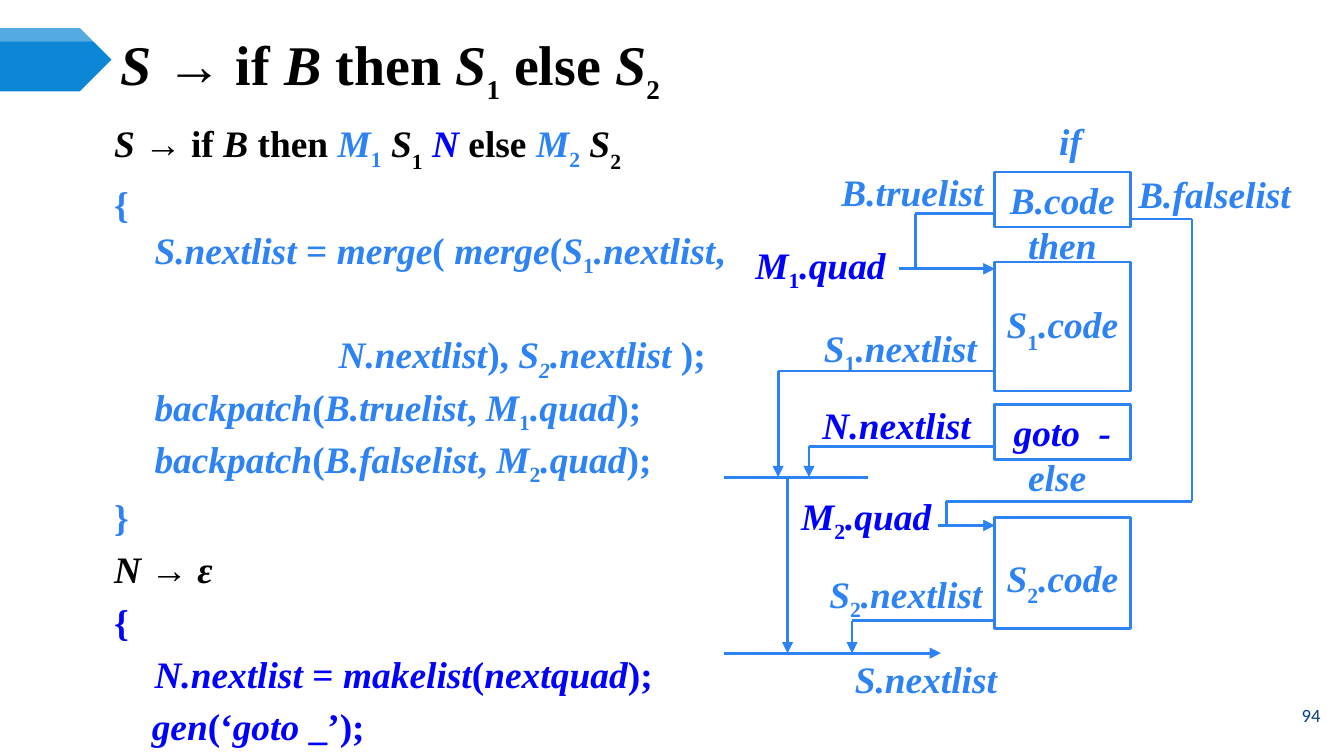
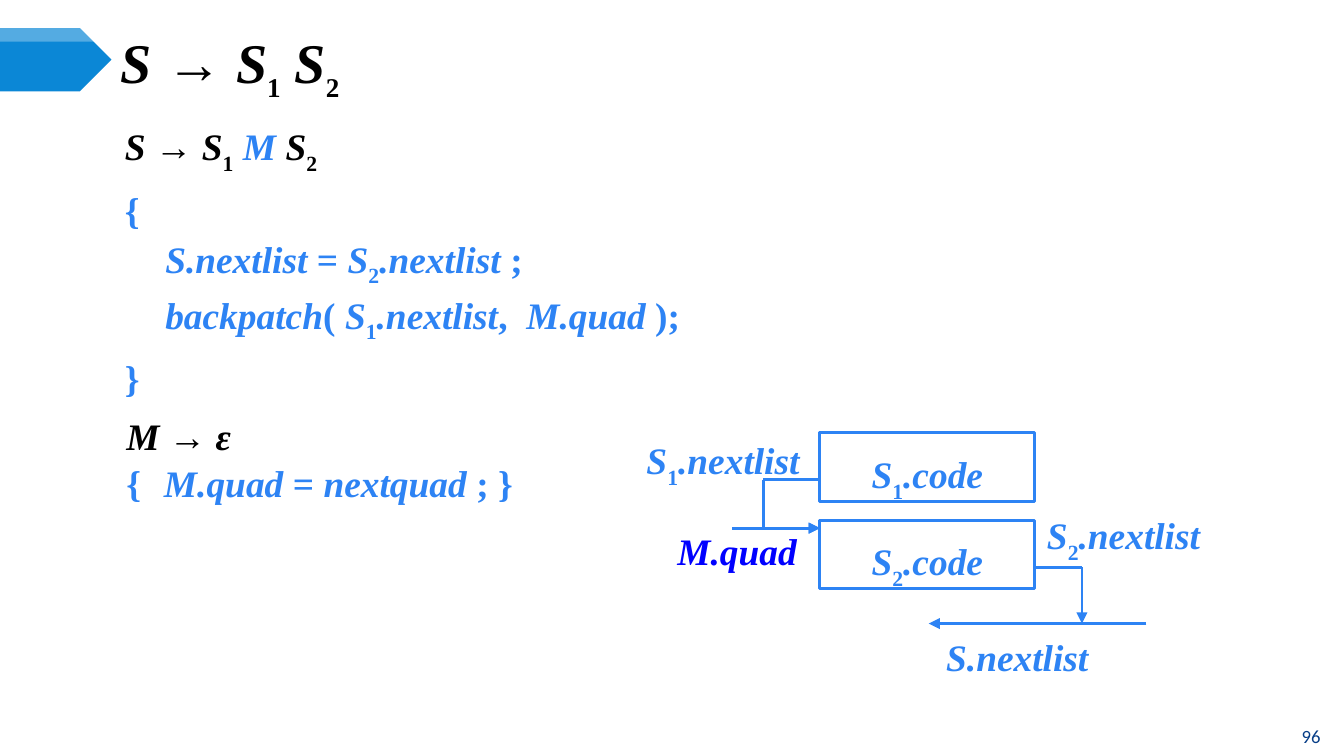
from lxml import etree
from pptx import Presentation
from pptx.dml.color import RGBColor
from pptx.enum.shapes import MSO_CONNECTOR, MSO_SHAPE
from pptx.enum.text import MSO_ANCHOR, PP_ALIGN
from pptx.oxml.ns import qn
from pptx.util import Inches, Pt

STRAIGHT = MSO_CONNECTOR.STRAIGHT
RECTANGLE, PENTAGON = MSO_SHAPE.RECTANGLE, MSO_SHAPE.PENTAGON
TOP, MIDDLE = MSO_ANCHOR.TOP, MSO_ANCHOR.MIDDLE
LEFT, CENTER, RIGHT = PP_ALIGN.LEFT, PP_ALIGN.CENTER, PP_ALIGN.RIGHT
JUSTIFY = PP_ALIGN.JUSTIFY

COLORS = {
    "black": "000000",
    "sky": "2D83F4",
    "blue": "0000FF",
    "white": "FFFFFF",
    "band": "0B87D6",
    "number": "073E87",
}
SERIF, SANS = "Times New Roman", "Calibri"
LINE_WIDTH = 1.5
LABEL_HEIGHT = 0.41
INDENT = 0.3
ITALIC_MARK, SUBSCRIPT_MARK = "/", "~"

SLIDES = [
    {
        "title": "/S /→ if /B/ then /S/~1~/ /else/ S/~2~",
        "title_spacing": 0.9,
        "number": ("94", 5.17),
        "bodies": [{
            "box": (0.78, 0.86, 4.77, 4.01),
            "align": LEFT,
            "spacing": Pt(28),
            "lines": [
                (0, 0, [("black", "/S /→ if/ B/ then "), ("sky", "/M/~1~"),
                        ("black", "/ S/~1~ "), ("blue", "/N/"),
                        ("black", " else "), ("sky", "/M/~2~"),
                        ("black", "/ S/~2~")]),
                (0, 0, [("sky", "{")]),
                (INDENT, 0, [("sky", "/S.nextlist/ = /merge/( /merge/(/S/~1~/.nextlist/,")]),
                (1.67, 28, [("sky", "/N.nextlist/), /S~2~.nextlist/ );")]),
                (INDENT, 0, [("sky", "/backpatch/(/B.truelist/, /M/~1~/.quad/);")]),
                (INDENT, 0, [("sky", "/backpatch/(/B.falselist/, /M/~2~/.quad/);")]),
                (0, 0, [("sky", "}")]),
                (0, 0, [("black", "/N /→ /ε/")]),
                (0, 0, [("blue", "{")]),
                (INDENT, 0, [("blue", "/N.nextlist/ = /makelist/(/nextquad/);")]),
                (0.28, 0, [("blue", "/gen/(‘/goto/ _’);")]),
            ],
        }],
        "label_drop": -25,
        "labels": [
            ("/M/~1~/.quad/", "blue", 5.55, 1.76, 1.32, LEFT),
            ("/M/~2~/.quad/", "blue", 5.89, 3.63, 1.28, LEFT),
            ("/N.nextlist/", "blue", 6.05, 2.95, 1.4, LEFT),
            ("/if/", "sky", 7.81, 0.84, 0.41, LEFT),
            ("/B.truelist/", "sky", 6.09, 1.22, 1.3, RIGHT),
            ("/B.falselist/", "sky", 8.4, 1.23, 1.44, LEFT),
            ("/S.nextlist/", "sky", 6.29, 4.84, 1.52, LEFT),
            ("/S/~1~/.nextlist/", "sky", 5.86, 2.38, 1.48, RIGHT),
            ("/then/", "sky", 7.58, 1.61, 0.8, LEFT),
            ("/else/", "sky", 7.58, 3.34, 0.59, LEFT),
            ("/S/~2~/.nextlist/", "sky", 5.94, 4.21, 1.44, RIGHT),
        ],
        "paths": [
            (True, [(6.69, 2), (7.4, 2)]),
            (True, [(6.98, 3.91), (7.4, 3.91)]),
            (True, [(7.52, 1.59), (6.81, 1.59), (6.81, 2), (7.4, 2)]),
            (True, [(8.34, 1.63), (8.87, 1.63), (8.87, 3.73), (7.04, 3.73),
                    (7.04, 3.91), (7.4, 3.91)]),
            (True, [(7.57, 2.76), (5.79, 2.76), (5.79, 3.55)]),
            (True, [(7.45, 3.32), (6.02, 3.32), (6.02, 3.55)]),
            (False, [(5.39, 3.55), (6.46, 3.55)]),
            (True, [(5.86, 3.55), (5.86, 4.86)]),
            (True, [(7.57, 4.62), (6.34, 4.62), (6.34, 4.86)]),
            (True, [(5.39, 4.86), (7, 4.86)]),
        ],
        "code_column": (7.4, 1.01),
        "code_format": {"anchor": MIDDLE},
        "code_boxes": [
            ("/B.code/", "sky", 1.28, 0.41, 0.04),
            ("/goto  -/", "blue", 3.01, 0.41, 0.04),
            ("/S/~1~/.code/", "sky", 1.95, 0.96, 0.06),
            ("/S/~2~/.code/", "sky", 3.85, 0.83, 0.16),
        ],
    },
    {
        "title": "/S /→ /S/~1~/ S/~2~",
        "title_spacing": 1.0,
        "number": ("96", 5.33),
        "bodies": [
            {
                "box": (0.86, 0.85, 6.48, 3.53),
                "align": JUSTIFY,
                "spacing": Pt(30),
                "lines": [
                    (0, 0, [("black", "/S /→ /S/~1~ "), ("sky", "/M /"),
                            ("black", "/S/~2~")]),
                    (0, 0, [("sky", "{")]),
                    (INDENT, 0, [("sky", "/S.nextlist/ = /S/~2~/.nextlist /;")]),
                    (INDENT, 0, [("sky", "/backpatch/( /S/~1~/.nextlist/,  /M.quad/ );")]),
                    (0, 0, [("sky", "}")]),
                ],
            },
            {
                "box": (0.87, 3.02, 3.42, 0.75),
                "align": JUSTIFY,
                "spacing": Pt(25),
                "lines": [
                    (0, 0, [("black", "/M /→ /ε/")]),
                    (0.28, 0, [("sky", "{\t/M.quad/ = /nextquad /; }")]),
                ],
            },
        ],
        "label_drop": -30,
        "labels": [
            ("/M.quad/", "blue", 4.97, 3.89, 1.06, LEFT),
            ("/S.nextlist/", "sky", 6.97, 4.68, 1.51, LEFT),
            ("/S/~1~/.nextlist/", "sky", 4.6, 3.21, 1.42, RIGHT),
            ("/S/~2~/.nextlist/", "sky", 7.72, 3.77, 1.42, LEFT),
        ],
        "paths": [
            (True, [(5.45, 3.93), (6.1, 3.93)]),
            (True, [(6.27, 3.57), (5.68, 3.57), (5.68, 3.93), (6.1, 3.93)]),
            (True, [(7.57, 4.22), (8.05, 4.22), (8.05, 4.64)]),
            (True, [(8.53, 4.64), (6.91, 4.64)]),
        ],
        "code_column": (6.1, 1.6),
        "code_format": {"anchor": TOP, "spacing": Pt(35)},
        "code_boxes": [
            ("/S/~1~/.code/", "sky", 3.22, 0.51, 0.04),
            ("/S/~2~/.code/", "sky", 3.87, 0.51, 0.04),
        ],
    },
]


def color(name):
    return RGBColor.from_string(COLORS[name])


def apply_format(target, values):
    for name, value in values.items():
        setattr(target, name, value)


def add_runs(paragraph, markup, color_name, size=20, font=SERIF, bold=True,
             drop=-25, drop_size=None):
    for italic_index, part in enumerate(markup.split(ITALIC_MARK)):
        for drop_index, text in enumerate(part.split(SUBSCRIPT_MARK)):
            if not text:
                continue
            lowered = drop_index % 2 == 1
            run = paragraph.add_run()
            run.text = text
            apply_format(run.font, {
                "name": font,
                "size": Pt(drop_size if lowered and drop_size else size),
                "bold": bold,
                "italic": italic_index % 2 == 1,
            })
            run.font.color.rgb = color(color_name)
            if lowered:
                run.font._element.set("baseline", str(drop * 1000))


def prepare_frame(shape, anchor=TOP, inset_top=0.04):
    apply_format(shape.text_frame, {
        "word_wrap": True,
        "vertical_anchor": anchor,
        "margin_left": Inches(0.07),
        "margin_right": Inches(0.07),
        "margin_top": Inches(inset_top),
        "margin_bottom": Inches(0.04),
    })
    return shape.text_frame


def add_text(slide, box, markup, color_name, align=LEFT, anchor=TOP,
             spacing=None, **run_format):
    shape = slide.shapes.add_textbox(*map(Inches, box))
    paragraph = prepare_frame(shape, anchor).paragraphs[0]
    apply_format(paragraph, {"alignment": align, "line_spacing": spacing})
    add_runs(paragraph, markup, color_name, **run_format)


def add_body(slide, body):
    shape = slide.shapes.add_textbox(*map(Inches, body["box"]))
    frame = prepare_frame(shape)
    for index, (indent, before, pieces) in enumerate(body["lines"]):
        paragraph = frame.add_paragraph() if index else frame.paragraphs[0]
        hanging = any("\t" in markup for _, markup in pieces)
        properties = paragraph._p.get_or_add_pPr()
        properties.set("marL", str(Inches(indent)))
        properties.set("indent", str(-Inches(indent) if hanging else 0))
        apply_format(paragraph, {
            "alignment": body["align"],
            "line_spacing": body["spacing"],
            "space_before": Pt(before),
        })
        for color_name, markup in pieces:
            drop = -30 if color_name == "black" else -25
            add_runs(paragraph, markup, color_name, drop=drop)


def add_filled(slide, kind, box, fill):
    shape = slide.shapes.add_shape(kind, *map(Inches, box))
    shape.shadow.inherit = False
    shape.fill.solid()
    shape.fill.fore_color.rgb = color(fill)
    shape.line.fill.background()
    return shape


def add_band(slide):
    add_filled(slide, PENTAGON, (0, 0.21, 0.83, 0.47), "band")
    highlight = add_filled(slide, PENTAGON, (0, 0.21, 0.83, 0.1), "white")
    fill_color = highlight._element.spPr.find(".//" + qn("a:srgbClr"))
    etree.SubElement(fill_color, qn("a:alpha")).set("val", "30000")


def add_path(slide, points, arrow):
    for start, end in zip(points, points[1:]):
        connector = slide.shapes.add_connector(STRAIGHT, *map(Inches, start + end))
        connector.line.color.rgb = color("sky")
        connector.line.width = Pt(LINE_WIDTH)
        etree.SubElement(connector._element.spPr, qn("a:effectLst"))
    if arrow:
        tail = etree.SubElement(connector.line._get_or_add_ln(), qn("a:tailEnd"))
        tail.set("type", "triangle")


def add_code_box(slide, box, markup, color_name, inset_top, anchor, spacing=None):
    shape = add_filled(slide, RECTANGLE, box, "white")
    shape.line.color.rgb = color("sky")
    shape.line.width = Pt(LINE_WIDTH)
    paragraph = prepare_frame(shape, anchor, inset_top).paragraphs[0]
    apply_format(paragraph, {"alignment": CENTER, "line_spacing": spacing})
    add_runs(paragraph, markup, color_name, drop=-30)


def build_slide(presentation, content):
    slide = presentation.slides.add_slide(presentation.slide_layouts[6])
    add_band(slide)
    for body in content["bodies"]:
        add_body(slide, body)
    add_text(slide, (0.83, 0.29, 8.67, 0.39), content["title"], "black",
             anchor=MIDDLE, spacing=content["title_spacing"],
             size=30, drop=-30, drop_size=25)
    for markup, color_name, left, top, width, align in content["labels"]:
        add_text(slide, (left, top, width, LABEL_HEIGHT), markup, color_name,
                 align=align, drop=content["label_drop"])
    for arrow, points in content["paths"]:
        add_path(slide, points, arrow)
    left, width = content["code_column"]
    for markup, color_name, top, height, inset_top in content["code_boxes"]:
        add_code_box(slide, (left, top, width, height), markup, color_name,
                     inset_top, **content["code_format"])
    number, top = content["number"]
    add_text(slide, (9.53, top, 0.45, 0.3), number, "number", align=CENTER,
             anchor=MIDDLE, size=10, font=SANS, bold=False)


def main():
    presentation = Presentation()
    presentation.slide_width = Inches(10)
    presentation.slide_height = Inches(10) * 9 // 16
    for content in SLIDES:
        build_slide(presentation, content)
    presentation.save("out.pptx")


if __name__ == "__main__":
    main()
